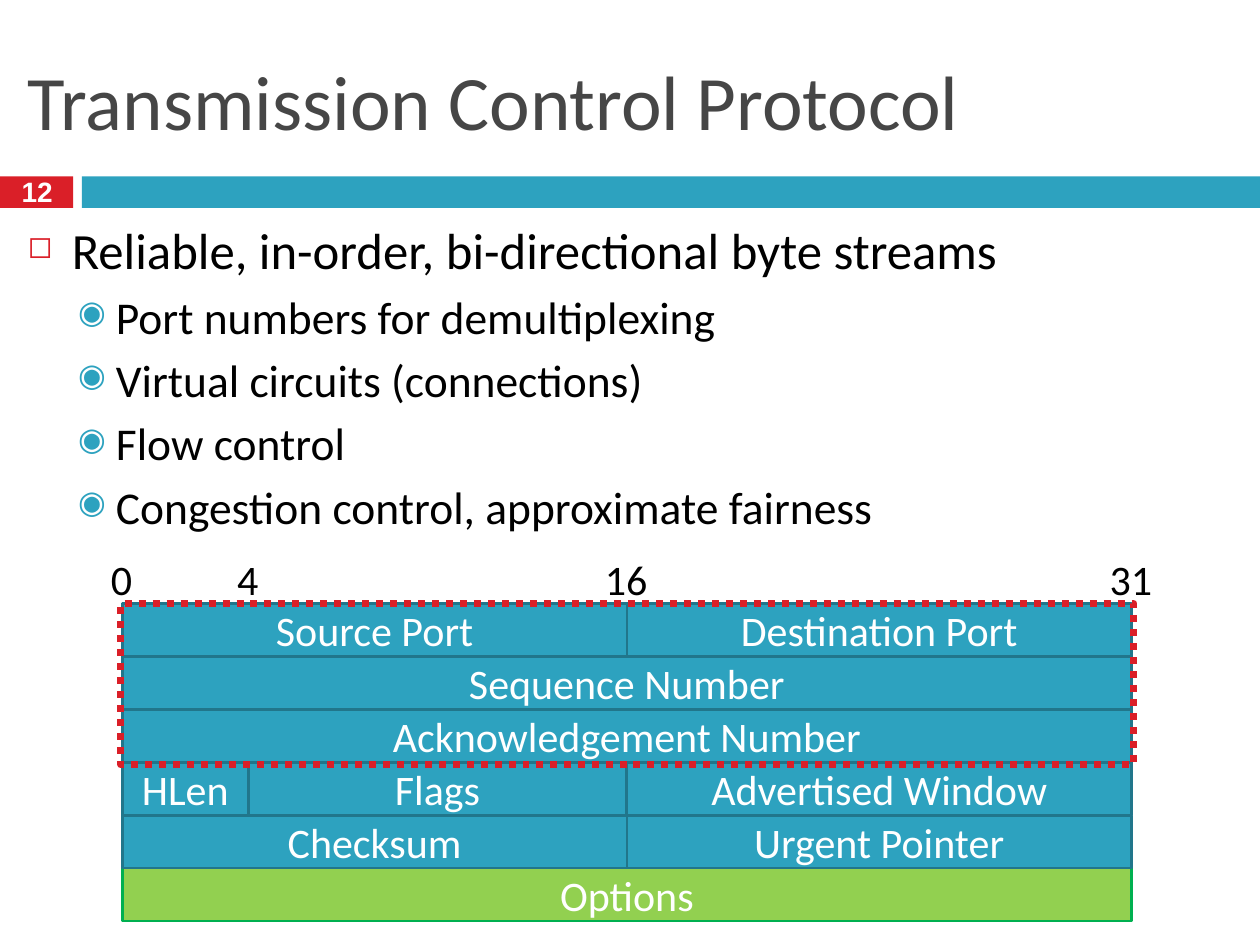
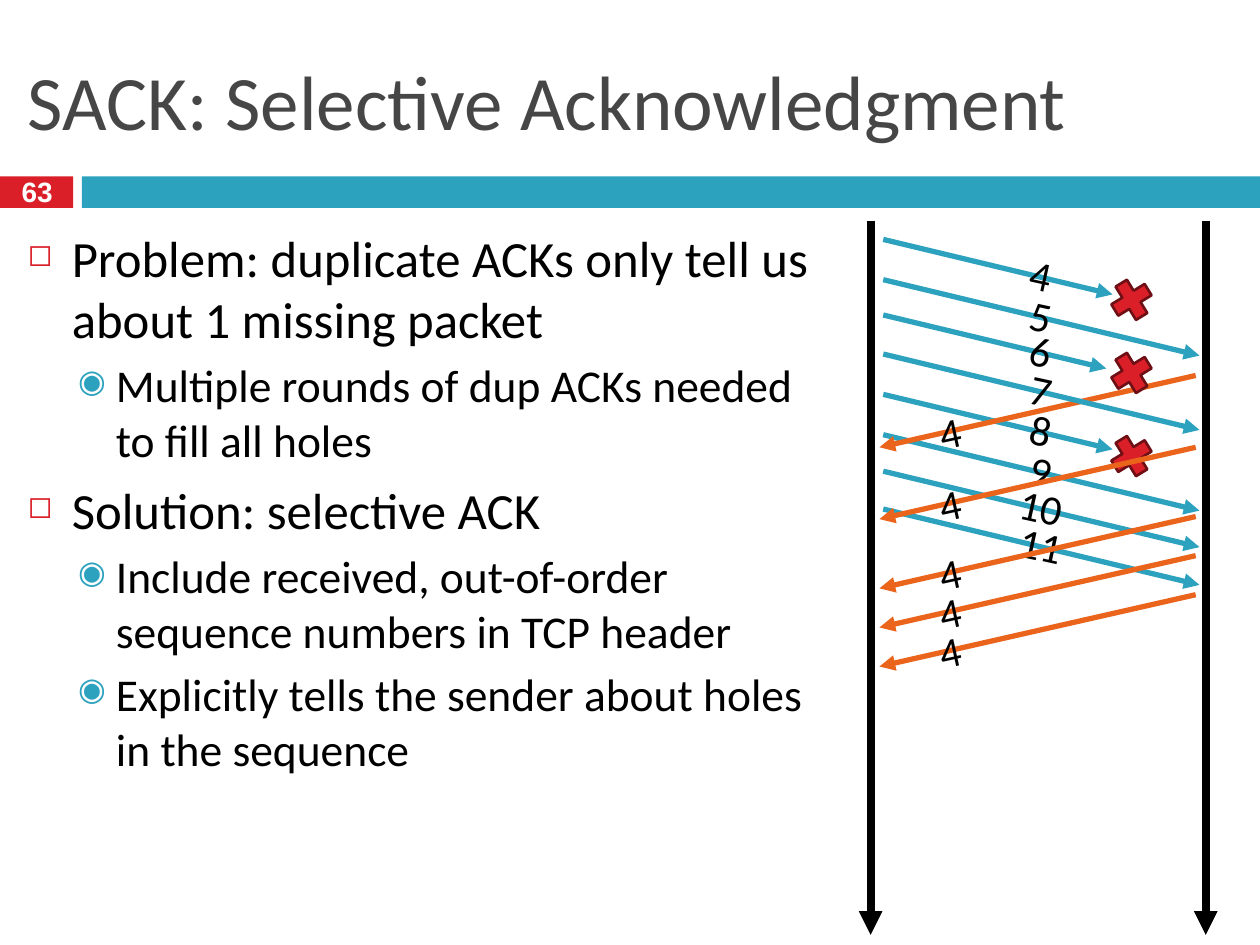
from pptx import Presentation
from pptx.dml.color import RGBColor
from pptx.enum.dml import MSO_LINE
from pptx.enum.shapes import MSO_CONNECTOR, MSO_SHAPE
from pptx.enum.text import MSO_ANCHOR, PP_ALIGN
from pptx.oxml.ns import qn
from pptx.util import Inches, Pt
from lxml.etree import SubElement

RED, TEAL, ORANGE = "DA1F28", "2DA2BF", "EB641B"
BLACK, WHITE, GREY = "000000", "FFFFFF", "464646"
FIELD = {"fill": TEAL, "edge": "21768B"}
OPTION = {"fill": "92D050", "edge": "00B050"}
LEVELS = [
    {"size": 29, "left": 0.35, "hang": -0.35, "gap": 7,
     "mark": "◻", "hue": RED, "scale": 60},
    {"size": 26, "left": 0.7, "hang": -0.3, "gap": 5,
     "mark": "◉", "hue": TEAL, "scale": 70},
]
FRAME = {"word_wrap": True, "margin_left": Inches(0.05),
         "margin_right": Inches(0.05), "margin_top": Inches(0.05),
         "margin_bottom": Inches(0.05)}


def color(code):
    return RGBColor.from_string(code)


def assign(item, values):
    for name, value in values.items():
        setattr(item, name, value)


def inches(box):
    return [Inches(part) for part in box]


def write(par, words, size, hue, face="Calibri", bold=False):
    run = par.add_run()
    run.text = words
    assign(run.font, {"name": face, "size": Pt(size), "bold": bold})
    run.font.color.rgb = color(hue)


def text(slide, box, words, size=24, hue=BLACK, align=PP_ALIGN.CENTER,
         anchor=MSO_ANCHOR.MIDDLE, turn=0, **font):
    shape = slide.shapes.add_textbox(*inches(box))
    shape.rotation = turn
    assign(shape.text_frame, {**FRAME, "vertical_anchor": anchor})
    par = shape.text_frame.paragraphs[0]
    par.alignment = align
    write(par, words, size, hue, **font)
    return shape


def block(slide, box, fill=None, edge=None, width=1.5, kind=MSO_SHAPE.RECTANGLE):
    shape = slide.shapes.add_shape(kind, *inches(box))
    shape.shadow.inherit = False
    if fill:
        shape.fill.solid()
        shape.fill.fore_color.rgb = color(fill)
    else:
        shape.fill.background()
    if edge:
        shape.line.color.rgb = color(edge)
        shape.line.width = Pt(width)
    else:
        shape.line.fill.background()
    return shape


def arrow(slide, start, end, hue, width=3):
    line = slide.shapes.add_connector(
        MSO_CONNECTOR.STRAIGHT, *inches(start), *inches(end))
    line.line.color.rgb = color(hue)
    line.line.width = Pt(width)
    SubElement(line.line._get_or_add_ln(), qn("a:tailEnd"), type="triangle")
    SubElement(line._element.spPr, qn("a:effectLst"))


def bullet(par, level):
    props = par._p.get_or_add_pPr()
    props.set("marL", str(Inches(level["left"])))
    props.set("indent", str(Inches(level["hang"])))
    tint = SubElement(props, qn("a:buClr"))
    SubElement(tint, qn("a:srgbClr"), val=level["hue"])
    SubElement(props, qn("a:buSzPct"), val=str(level["scale"] * 1000))
    SubElement(props, qn("a:buChar"), char=level["mark"])


def body(slide, box, items):
    """Fill the box with (depth, words) bullets."""
    frame = slide.shapes.add_textbox(*inches(box)).text_frame
    assign(frame, FRAME)
    for place, (depth, words) in enumerate(items):
        level = LEVELS[depth]
        par = frame.add_paragraph() if place else frame.paragraphs[0]
        par.level = depth
        if place:
            par.space_before = Pt(level["gap"])
        bullet(par, level)
        write(par, words, level["size"], BLACK)


def base(deck, title, number):
    """Add a slide with its title, bands and page number."""
    slide = deck.slides.add_slide(deck.slide_layouts[6])
    block(slide, (0, 1.4, 0.58, 0.25), RED)
    block(slide, (0.65, 1.4, 9.35, 0.25), TEAL)
    text(slide, (0.17, 0.25, 9.67, 1.08), title, 44, GREY, PP_ALIGN.LEFT)
    page = text(slide, (0.12, 1.37, 0.35, 0.35), number, 16, WHITE,
                face="Arial", bold=True)
    page.text_frame.word_wrap = False
    page.text_frame.paragraphs[0].line_spacing = 0.8
    return slide


def header(slide, box):
    """Draw the TCP header, 32 bits to a row, with bit marks above."""
    left, top, width, height = box
    rows = [
        [(0, 16, "Source Port"), (16, 32, "Destination Port")],
        [(0, 32, "Sequence Number")],
        [(0, 32, "Acknowledgement Number")],
        [(0, 4, "HLen"), (4, 16, "Flags"), (16, 32, "Advertised Window")],
        [(0, 16, "Checksum"), (16, 32, "Urgent Pointer")],
        [(0, 32, "Options")],
    ]
    bit, tall = width / 32, height / len(rows)
    for row, fields in reversed(list(enumerate(rows))):
        for first, last, name in fields:
            spot = (left + first * bit, top + row * tall,
                    (last - first) * bit, tall)
            cell = block(slide, spot, **(OPTION if name == "Options" else FIELD))
            assign(cell.text_frame, {**FRAME, "margin_top": 0, "margin_bottom": 0,
                                     "vertical_anchor": MSO_ANCHOR.MIDDLE})
            par = cell.text_frame.paragraphs[0]
            par.alignment = PP_ALIGN.CENTER
            write(par, name, 24, WHITE)
    for mark, edge in [("0", 0), ("4", 4), ("16", 16), ("31", 32)]:
        text(slide, (left + edge * bit - 0.33, top - 0.44, 0.65, 0.48), mark)
    frame = block(slide, (left - 0.01, top, width + 0.03, 3 * tall + 0.02),
                  edge=RED, width=4)
    frame.line.dash_style = MSO_LINE.ROUND_DOT


def label(slide, x, y, words, turn):
    text(slide, (x, y, 1.11, 0.48), words, anchor=MSO_ANCHOR.TOP, turn=turn)


def send(slide, left, top, words, reach):
    arrow(slide, (left, top), (left + reach, top + 0.24 * reach), TEAL)
    label(slide, left + 0.7, top + 0.03, words, 12.3)


def reply(slide, left, top, words):
    arrow(slide, (left + 2.51, top), (left, top + 0.57), ORANGE)
    label(slide, left, top + 0.2, words, -12.5)


def loss(slide, x, y):
    """Mark a lost packet, centred on the point."""
    size = 0.31
    cross = block(slide, (x - size / 2, y - size / 2, size, size), RED,
                  "6D0F14", kind=MSO_SHAPE.CROSS)
    cross.adjustments[0] = 0.33
    cross.rotation = -31.5


def timeline(slide, box):
    """Draw packets and replies between sender and receiver."""
    left, top, width, height = box
    for x in (left, left + width):
        arrow(slide, (x, top), (x, top + height), BLACK, 4.5)
    near, full = left + 0.1, 2.51
    late = [("8", 1.38, 1.82), ("9", 1.7, full),
            ("10", 1.99, full), ("11", 2.29, full)]
    early = [("4", 0.15, 1.82), ("5", 0.47, full),
             ("6", 0.75, 1.77), ("7", 1.06, full)]
    replies = [1.23, 1.8, 2.35, 2.66, 2.97]

    def sends(batch):
        for words, drop, reach in batch:
            send(slide, near, top + drop, words, reach)

    def answer(drops):
        for drop in drops:
            reply(slide, left + 0.07, top + drop, "4")

    sends(late)
    loss(slide, left + 2.07, top + 1.87)
    answer(replies[:1])
    sends(early)
    for drop in (0.63, 1.21):
        loss(slide, left + 2.07, top + drop)
    answer(replies[1:])


def main():
    deck = Presentation()
    assign(deck, {"slide_width": Inches(10), "slide_height": Inches(7.5)})

    tcp = base(deck, "Transmission Control Protocol", "12")
    body(tcp, (0.17, 1.69, 9.67, 2.73), [
        (0, "Reliable, in-order, bi-directional byte streams"),
        (1, "Port numbers for demultiplexing"),
        (1, "Virtual circuits (connections)"),
        (1, "Flow control"),
        (1, "Congestion control, approximate fairness"),
    ])
    header(tcp, (0.97, 4.79, 8.01, 2.52))

    sack = base(deck, "SACK: Selective Acknowledgment", "63")
    body(sack, (0.17, 1.75, 6.47, 5.58), [
        (0, "Problem: duplicate ACKs only tell us about 1 missing packet"),
        (1, "Multiple rounds of dup ACKs needed to fill all holes"),
        (0, "Solution: selective ACK"),
        (1, "Include received, out-of-order sequence numbers in TCP header"),
        (1, "Explicitly tells the sender about holes in the sequence"),
    ])
    timeline(sack, (6.91, 1.75, 2.66, 5.67))

    deck.save("out.pptx")


if __name__ == "__main__":
    main()
